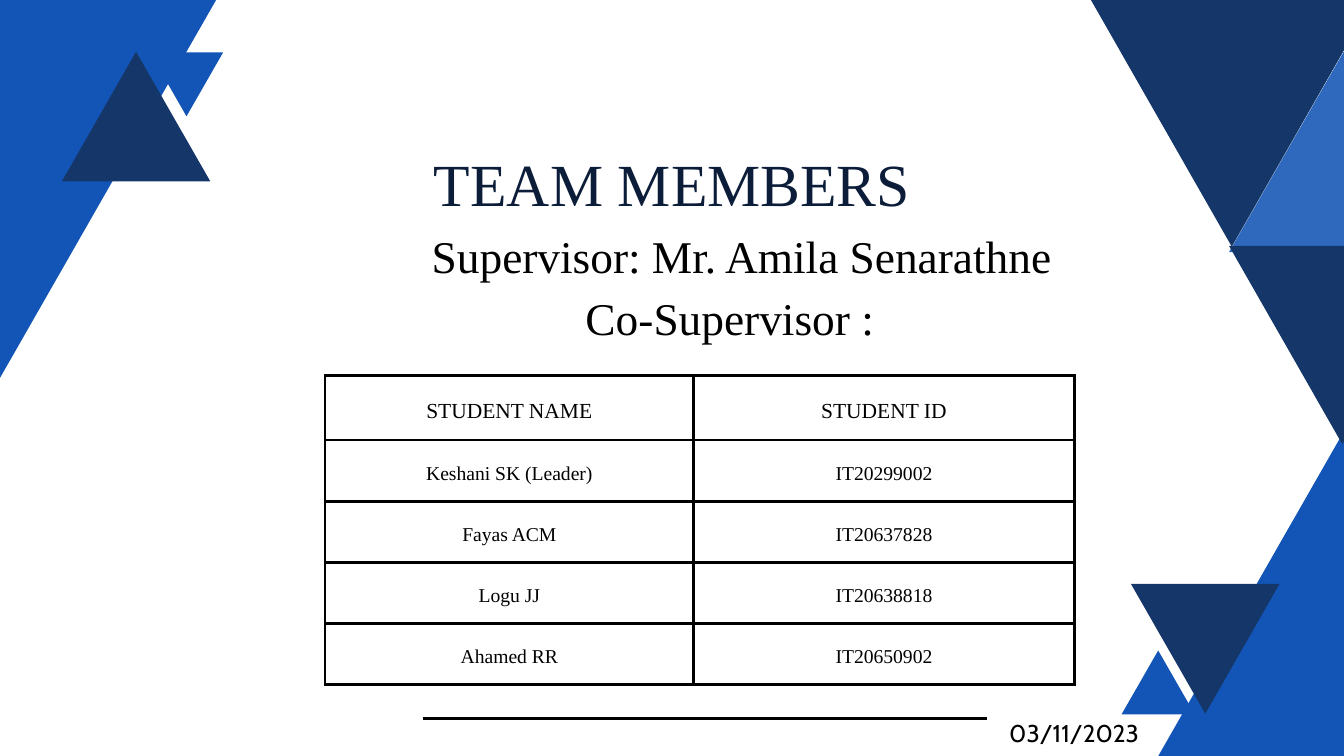
from dataclasses import dataclass

from lxml import etree
from pptx import Presentation
from pptx.dml.color import RGBColor
from pptx.enum.shapes import MSO_CONNECTOR, MSO_SHAPE
from pptx.enum.text import MSO_ANCHOR, PP_ALIGN
from pptx.oxml.ns import qn
from pptx.util import Emu, Pt

TRIANGLE = MSO_SHAPE.ISOSCELES_TRIANGLE
STRAIGHT = MSO_CONNECTOR.STRAIGHT
CENTER = PP_ALIGN.CENTER
MIDDLE = MSO_ANCHOR.MIDDLE
SCALE = 9144


@dataclass(frozen=True)
class Type:
    size: float
    lead: float
    color: str = "000000"
    face: str = "Times New Roman"


@dataclass(frozen=True)
class Theme:
    blue: str = "1255B6"
    navy: str = "153669"
    black: str = "000000"
    rule: int = 3
    title: Type = Type(64, 76.2, "0B1D39")
    lead: Type = Type(48.6, 57.8)
    head: Type = Type(23, 32.2)
    body: Type = Type(21, 29.4)
    date: Type = Type(26, 36.4, face="Cabin")


@dataclass(frozen=True)
class Box:
    left: int
    top: int
    width: int
    height: int

    def emu(self) -> tuple:
        return tuple(px(n) for n in (self.left, self.top, self.width, self.height))


@dataclass(frozen=True)
class Wedge:
    box: Box
    color: str
    down: bool = False
    alpha: int = 100


@dataclass(frozen=True)
class Label:
    box: Box
    text: str
    type: Type


THEME = Theme()

WEDGES = [
    Wedge(Box(1687, 605, 668, 584), THEME.blue),
    Wedge(Box(-335, -20, 668, 584), THEME.blue, down=True),
    Wedge(Box(1829, 77, 341, 298), THEME.blue, alpha=88),
    Wedge(Box(1829, 366, 337, 295), THEME.navy, down=True),
    Wedge(Box(1612, -20, 442, 387), THEME.navy, down=True),
    Wedge(Box(92, 77, 221, 193), THEME.navy),
    Wedge(Box(1683, 869, 221, 193), THEME.navy, down=True),
    Wedge(Box(223, 78, 109, 95), THEME.blue, down=True),
    Wedge(Box(1669, 968, 109, 95), THEME.blue),
]

LABELS = [
    Label(Box(543, 219, 914, 106), "TEAM MEMBERS", THEME.title),
    Label(Box(414, 340, 1379, 80), "Supervisor: Mr. Amila Senarathne", THEME.lead),
    Label(Box(351, 433, 1470, 80), "Co-Supervisor :", THEME.lead),
    Label(Box(1485, 1061, 227, 51), "03/11/2023", THEME.date),
]

GRID = Box(484, 559, 1115, 460)
COLS = (548, 567)
ROWS = (96, 91, 91, 91, 91)
PAD = 21
TEAM = [
    ("STUDENT NAME", "STUDENT ID"),
    ("Keshani SK (Leader)", "IT20299002"),
    ("Fayas ACM", "IT20637828"),
    ("Logu JJ", "IT20638818"),
    ("Ahamed RR", "IT20650902"),
]


def px(n: int) -> Emu:
    return Emu(n * SCALE)


def rgb(color: str) -> RGBColor:
    return RGBColor.from_string(color)


def write(frame, text: str, kind: Type) -> None:
    para = frame.paragraphs[0]
    para.text = text
    para.alignment = CENTER
    para.line_spacing = Pt(kind.lead)
    font = para.font
    font.name = kind.face
    font.size = Pt(kind.size)
    font.color.rgb = rgb(kind.color)


def pad(part, gap: int) -> None:
    part.margin_left = part.margin_right = px(gap)
    part.margin_top = part.margin_bottom = px(gap)


def draw_wedge(slide, wedge: Wedge) -> None:
    shape = slide.shapes.add_shape(TRIANGLE, *wedge.box.emu())
    shape.rotation = 180 if wedge.down else 0
    shape.shadow.inherit = False
    shape.line.fill.background()
    shape.fill.solid()
    shape.fill.fore_color.rgb = rgb(wedge.color)
    if wedge.alpha < 100:
        tint = next(shape.element.iter(qn("a:srgbClr")))
        etree.SubElement(tint, qn("a:alpha"), val=str(wedge.alpha * 1000))


def draw_label(slide, label: Label) -> None:
    frame = slide.shapes.add_textbox(*label.box.emu()).text_frame
    frame.word_wrap = True
    pad(frame, 0)
    write(frame, label.text, label.type)


def draw_rule(slide, left: int, right: int, top: int) -> None:
    line = slide.shapes.add_connector(STRAIGHT, px(left), px(top), px(right), px(top))
    line.line.color.rgb = rgb(THEME.black)
    line.line.width = Pt(THEME.rule)
    etree.SubElement(line.element.spPr, qn("a:effectLst"))


def edge(cell) -> None:
    props = cell._tc.get_or_add_tcPr()
    for spot, side in enumerate(("lnL", "lnR", "lnT", "lnB")):
        line = etree.Element(qn(f"a:{side}"), w=str(Pt(THEME.rule)))
        fill = etree.SubElement(line, qn("a:solidFill"))
        etree.SubElement(fill, qn("a:srgbClr"), val=THEME.black)
        props.insert(spot, line)


def draw_team(slide) -> None:
    table = slide.shapes.add_table(len(ROWS), len(COLS), *GRID.emu()).table
    table.first_row = table.horz_banding = False
    for col, width in zip(table.columns, COLS):
        col.width = px(width)
    for row, height in zip(table.rows, ROWS):
        row.height = px(height)
    for r, names in enumerate(TEAM):
        for c, text in enumerate(names):
            cell = table.cell(r, c)
            cell.vertical_anchor = MIDDLE
            pad(cell, PAD)
            cell.fill.background()
            edge(cell)
            write(cell.text_frame, text, THEME.body if r else THEME.head)


def main() -> None:
    deck = Presentation()
    deck.slide_width, deck.slide_height = px(2000), px(1125)
    slide = deck.slides.add_slide(deck.slide_layouts[6])
    draw_rule(slide, 630, 1469, 1069)
    for wedge in WEDGES:
        draw_wedge(slide, wedge)
    draw_team(slide)
    for label in LABELS:
        draw_label(slide, label)
    deck.save("out.pptx")


if __name__ == "__main__":
    main()
